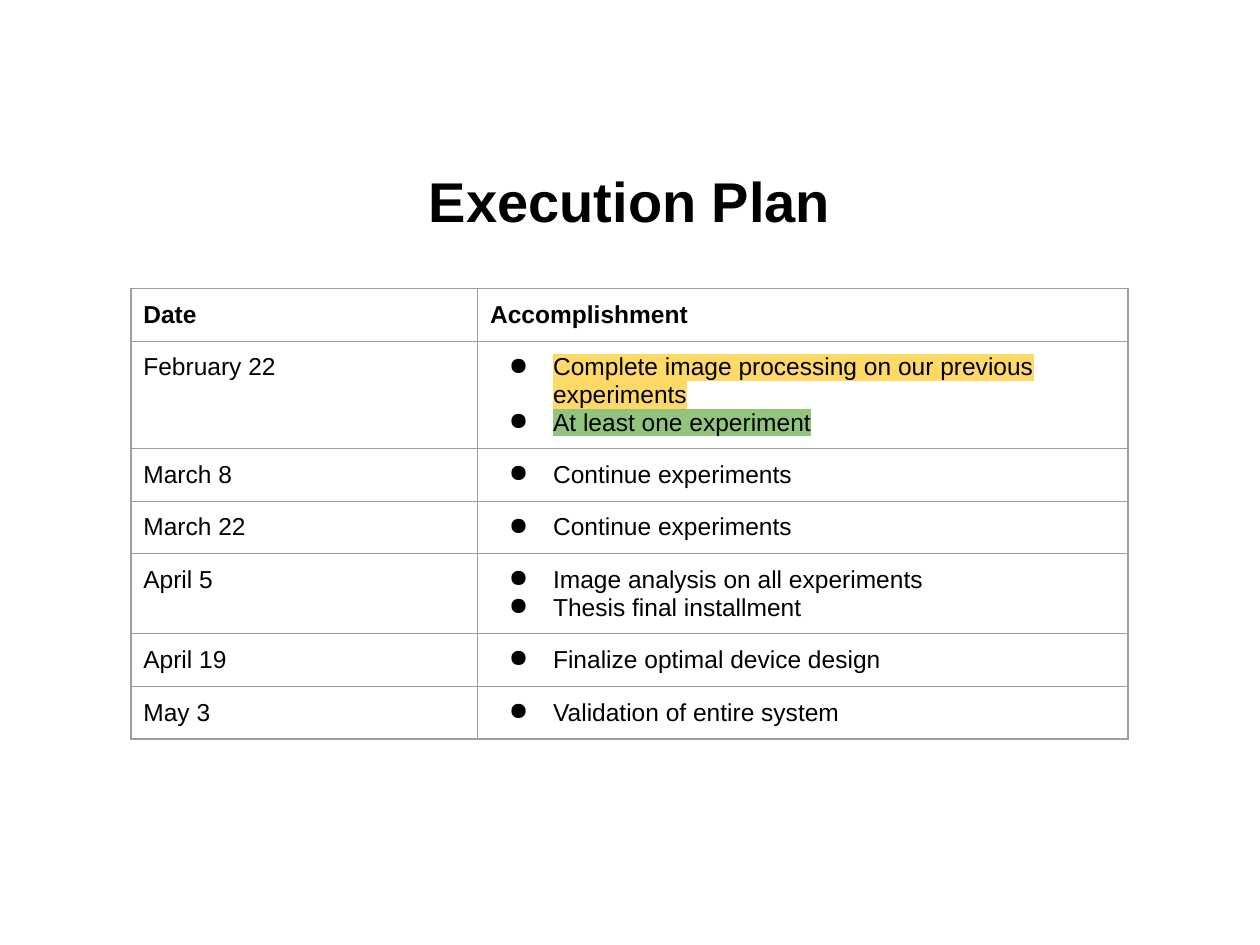
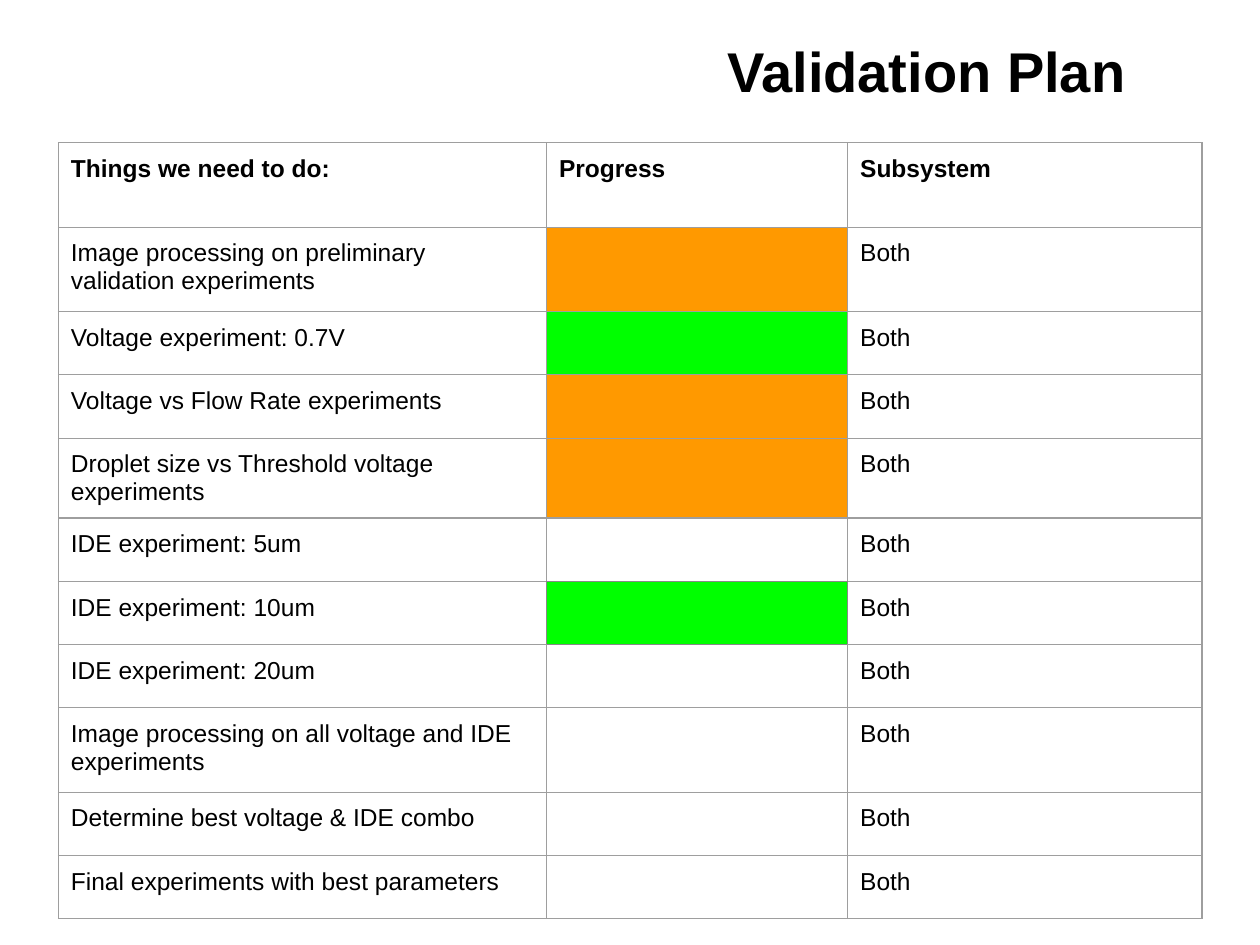
"""Build the execution plan and validation plan slides."""
from lxml import etree
from pptx import Presentation
from pptx.dml.color import RGBColor
from pptx.enum.text import MSO_ANCHOR, PP_ALIGN
from pptx.oxml.ns import qn
from pptx.util import Cm, Pt

CENTER = PP_ALIGN.CENTER
MIDDLE = MSO_ANCHOR.MIDDLE
FONT = "Arial"
COLORS = {
    "text": "000000",
    "paper": "FFFFFF",
    "grid": "9E9E9E",
    "dark grid": "888888",
    "started mark": "FFD966",
    "done mark": "93C47D",
    "started": "FF9900",
    "done": "00FF00",
}
INSET = Cm(0.25)
EDGES = {"lnL": (0, -1), "lnR": (0, 1), "lnT": (-1, 0), "lnB": (1, 0)}

EXECUTION = {
    "title": "Execution Plan",
    "title box": (1.27, 2.92, 22.86, 2.24),
    "corner": (2.64, 5.82),
    "columns": (6.99, 13.11),
    "header": ("Date", "Accomplishment"),
}
MILESTONES = [
    ("February 22", 3, [
        ("Complete image processing on our previous experiments", "started mark"),
        ("At least one experiment", "done mark"),
    ]),
    ("March 8", 1, [("Continue experiments", None)]),
    ("March 22", 1, [("Continue experiments", None)]),
    ("April 5", 2, [
        ("Image analysis on all experiments", None),
        ("Thesis final installment", None),
    ]),
    ("April 19", 1, [("Finalize optimal device design", None)]),
    ("May 3", 1, [("Validation of entire system", None)]),
]

VALIDATION = {
    "title": "Validation Plan",
    "title box": (12.7, 0.3, 11.96, 2.24),
    "corner": (1.18, 2.88),
    "columns": (9.84, 6.07, 7.14),
    "header": ("Things we need to do:", "Progress", "Subsystem"),
}
SHORT, MEDIUM, TALL = 1.22, 1.61, 1.7
SUBSYSTEM = "Both"
TASKS = [
    ("Image processing on preliminary validation experiments", "started", TALL),
    ("Voltage experiment: 0.7V", "done", SHORT),
    ("Voltage vs Flow Rate experiments", "started", SHORT),
    ("Droplet size vs Threshold voltage experiments", "started", MEDIUM),
    ("IDE experiment: 5um", "paper", SHORT),
    ("IDE experiment: 10um", "done", SHORT),
    ("IDE experiment: 20um", "paper", SHORT),
    ("Image processing on all voltage and IDE experiments", "paper", TALL),
    ("Determine best voltage & IDE combo", "paper", SHORT),
    ("Final experiments with best parameters", "paper", SHORT),
]
DARK_CELL = (6, 1)


def rgb(name):
    return RGBColor.from_string(COLORS[name])


def add_color(parent, tag, name):
    holder = etree.SubElement(parent, qn(tag))
    etree.SubElement(holder, qn("a:srgbClr"), val=COLORS[name])
    return holder


def write(paragraph, words, size=14, bold=False, mark=None):
    run = paragraph.add_run()
    run.text = words
    run.font.size = Pt(size)
    run.font.bold = bold
    run.font.color.rgb = rgb("text")
    run.font.name = FONT
    if mark:
        properties = run.font._element
        highlight = add_color(properties, "a:highlight", mark)
        properties.find(qn("a:latin")).addprevious(highlight)


def write_bullets(cell, goals):
    frame = cell.text_frame
    for index, (goal, mark) in enumerate(goals):
        paragraph = frame.add_paragraph() if index else frame.paragraphs[0]
        properties = paragraph._p.get_or_add_pPr()
        properties.set("marL", str(Cm(1.27)))
        properties.set("indent", str(-Cm(0.89)))
        add_color(properties, "a:buClr", "text")
        etree.SubElement(properties, qn("a:buChar"), char="●")
        write(paragraph, goal, mark=mark)


def draw_borders(cell, place, dark_cell):
    properties = cell._tc.get_or_add_tcPr()
    for edge, (down, across) in EDGES.items():
        neighbour = (place[0] + down, place[1] + across)
        tone = "dark grid" if dark_cell in (place, neighbour) else "grid"
        line = etree.SubElement(properties, qn(f"a:{edge}"), w=str(Pt(0.75)))
        add_color(line, "a:solidFill", tone)


def add_plan(deck, plan, heights, dark_cell=None):
    slide = deck.slides.add_slide(deck.slide_layouts[5])
    title = slide.shapes.title
    title.left, title.top, title.width, title.height = map(Cm, plan["title box"])
    title.text_frame.vertical_anchor = MIDDLE
    heading = title.text_frame.paragraphs[0]
    heading.alignment = CENTER
    write(heading, plan["title"], size=32, bold=True)

    columns = plan["columns"]
    left, top = plan["corner"]
    table = slide.shapes.add_table(
        len(heights), len(columns), Cm(left), Cm(top),
        Cm(sum(columns)), Cm(sum(heights))).table
    table.first_row = table.horz_banding = False
    for column, width in zip(table.columns, columns):
        column.width = Cm(width)
    for r, height in enumerate(heights):
        table.rows[r].height = Cm(height)
        for c in range(len(columns)):
            cell = table.cell(r, c)
            cell.margin_left = cell.margin_right = INSET
            cell.margin_top = cell.margin_bottom = INSET
            draw_borders(cell, (r, c), dark_cell)
            cell.fill.solid()
            cell.fill.fore_color.rgb = rgb("paper")
    for c, label in enumerate(plan["header"]):
        write(table.cell(0, c).text_frame.paragraphs[0], label, bold=True)
    return table


def build_execution(deck):
    line_counts = [1] + [lines for _, lines, _ in MILESTONES]
    table = add_plan(deck, EXECUTION, [0.51 + 0.55 * n for n in line_counts])
    for r, (date, _, goals) in enumerate(MILESTONES, 1):
        write(table.cell(r, 0).text_frame.paragraphs[0], date)
        write_bullets(table.cell(r, 1), goals)


def build_validation(deck):
    heights = [TALL] + [height for _, _, height in TASKS]
    table = add_plan(deck, VALIDATION, heights, DARK_CELL)
    for r, (task, progress, _) in enumerate(TASKS, 1):
        write(table.cell(r, 0).text_frame.paragraphs[0], task)
        table.cell(r, 1).fill.fore_color.rgb = rgb(progress)
        write(table.cell(r, 2).text_frame.paragraphs[0], SUBSYSTEM)


def main():
    deck = Presentation()
    deck.slide_width, deck.slide_height = Cm(25.4), Cm(19.05)
    build_execution(deck)
    build_validation(deck)
    deck.save("out.pptx")


if __name__ == "__main__":
    main()
